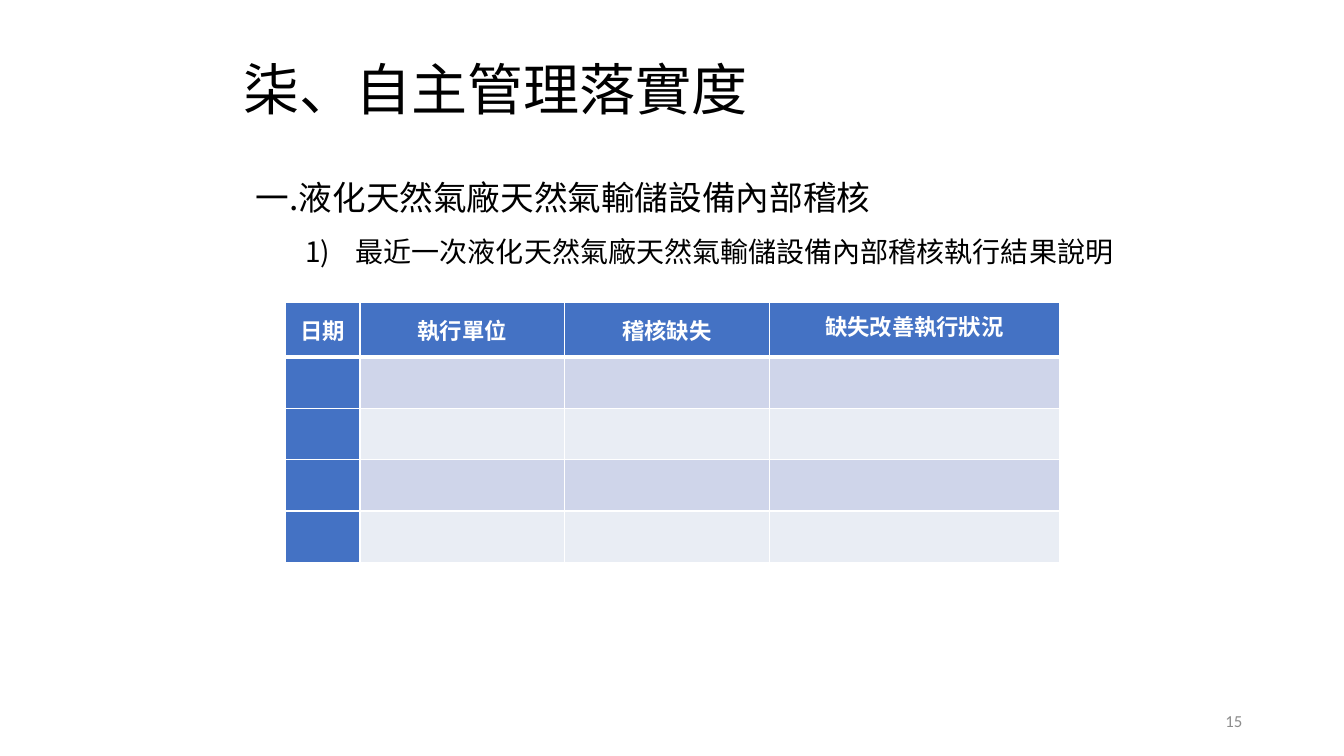
from lxml import etree
from pptx import Presentation
from pptx.dml.color import RGBColor
from pptx.enum.text import MSO_ANCHOR as Anchor, PP_ALIGN as Align
from pptx.oxml.ns import qn
from pptx.util import Inches, Pt

CJK_FONT = "Noto Sans CJK SC"
BLACK = RGBColor(0x00, 0x00, 0x00)
WHITE = RGBColor(0xFF, 0xFF, 0xFF)
GRAY = RGBColor(0x8C, 0x8C, 0x8C)
BLUE = RGBColor(0x44, 0x72, 0xC4)
BANDS = [RGBColor(0xCF, 0xD5, 0xEA), RGBColor(0xE9, 0xED, 0xF4)]

HEADERS = ["日期", "執行單位", "稽核缺失", "缺失改善執行狀況"]
COLUMN_WIDTHS = [0.74, 2.03, 2.03, 2.88]
ROW_HEIGHTS = [0.54] + [0.51] * 4


def style(para, size, color=BLACK, name=CJK_FONT, bold=False):
    font = para.font
    font.size, font.bold, font.name = Pt(size), bold, name
    font.color.rgb = color
    # East Asian glyphs take their own typeface element
    properties = para._p.pPr.find(qn("a:defRPr"))
    etree.SubElement(properties, qn("a:ea"), typeface=name)


def add_text_box(page, left, top, width, height, anchor=Anchor.MIDDLE):
    frame = page.shapes.add_textbox(
        Inches(left), Inches(top), Inches(width), Inches(height)).text_frame
    frame.word_wrap = True
    frame.vertical_anchor = anchor
    return frame


def add_title(page, left, top, width, height):
    frame = add_text_box(page, left, top, width, height)
    frame.margin_left = frame.margin_right = 0
    frame.margin_top = frame.margin_bottom = 0
    para = frame.paragraphs[0]
    para.text = "柒、自主管理落實度"
    para.line_spacing = 0.9
    style(para, 40)


def add_outline(page, left, top, width, height):
    frame = add_text_box(page, left, top, width, height)
    heading = frame.paragraphs[0]
    heading.text = "一.液化天然氣廠天然氣輸儲設備內部稽核"
    heading.line_spacing = 1.5
    style(heading, 24)

    # Numbered item with a hanging indent
    item = frame.add_paragraph()
    item.text = "最近一次液化天然氣廠天然氣輸儲設備內部稽核執行結果說明"
    item.line_spacing = 1.5
    properties = item._p.get_or_add_pPr()
    properties.set("marL", str(Inches(0.99)))
    properties.set("indent", str(Inches(-0.5)))
    etree.SubElement(properties, qn("a:buFont"), typeface=CJK_FONT)
    etree.SubElement(properties, qn("a:buAutoNum"), type="arabicParenR")
    style(item, 20)


def set_borders(cell, bottom_width):
    """Draw white cell borders; they must precede the cell fill."""
    properties = cell._tc.get_or_add_tcPr()
    widths = {"a:lnL": 1, "a:lnR": 1, "a:lnT": 1, "a:lnB": bottom_width}
    for tag, width in widths.items():
        line = etree.SubElement(properties, qn(tag), w=str(Pt(width)))
        fill = etree.SubElement(line, qn("a:solidFill"))
        etree.SubElement(fill, qn("a:srgbClr"), val=str(WHITE))


def add_audit_table(page, left, top):
    table = page.shapes.add_table(
        len(ROW_HEIGHTS), len(COLUMN_WIDTHS), Inches(left), Inches(top),
        Inches(sum(COLUMN_WIDTHS)), Inches(sum(ROW_HEIGHTS))).table
    table.first_col = True
    for column, width in zip(table.columns, COLUMN_WIDTHS):
        column.width = Inches(width)
    for row_index, (row, height) in enumerate(zip(table.rows, ROW_HEIGHTS)):
        row.height = Inches(height)
        is_header = row_index == 0
        for column_index, cell in enumerate(row.cells):
            set_borders(cell, 3 if is_header else 1)
            cell.fill.solid()
            is_blue = is_header or column_index == 0
            cell.fill.fore_color.rgb = BLUE if is_blue else BANDS[(row_index - 1) % 2]

    # Header labels
    for cell, label in zip(table.rows[0].cells, HEADERS):
        cell.vertical_anchor = Anchor.MIDDLE
        cell.margin_left = cell.margin_right = Inches(0.07)
        cell.margin_top = cell.margin_bottom = 0
        para = cell.text_frame.paragraphs[0]
        para.text = label
        para.alignment = Align.CENTER
        style(para, 16, WHITE, bold=True)
    para.line_spacing = Pt(18)  # the last header is set tighter


def add_page_number(page, left, top, width, height):
    para = add_text_box(page, left, top, width, height).paragraphs[0]
    para.text = "15"
    para.alignment = Align.RIGHT
    style(para, 12, GRAY, "Calibri")


def main():
    deck = Presentation()
    deck.slide_width, deck.slide_height = Inches(13.33), Inches(7.5)
    page = deck.slides.add_slide(deck.slide_layouts[6])
    add_title(page, 2.42, 0.61, 7.63, 0.61)
    add_page_number(page, 9.42, 6.95, 3, 0.4)
    add_outline(page, 2.44, 1.53, 9.13, 1.15)
    add_audit_table(page, 2.83, 3)
    deck.save("out.pptx")


if __name__ == "__main__":
    main()
